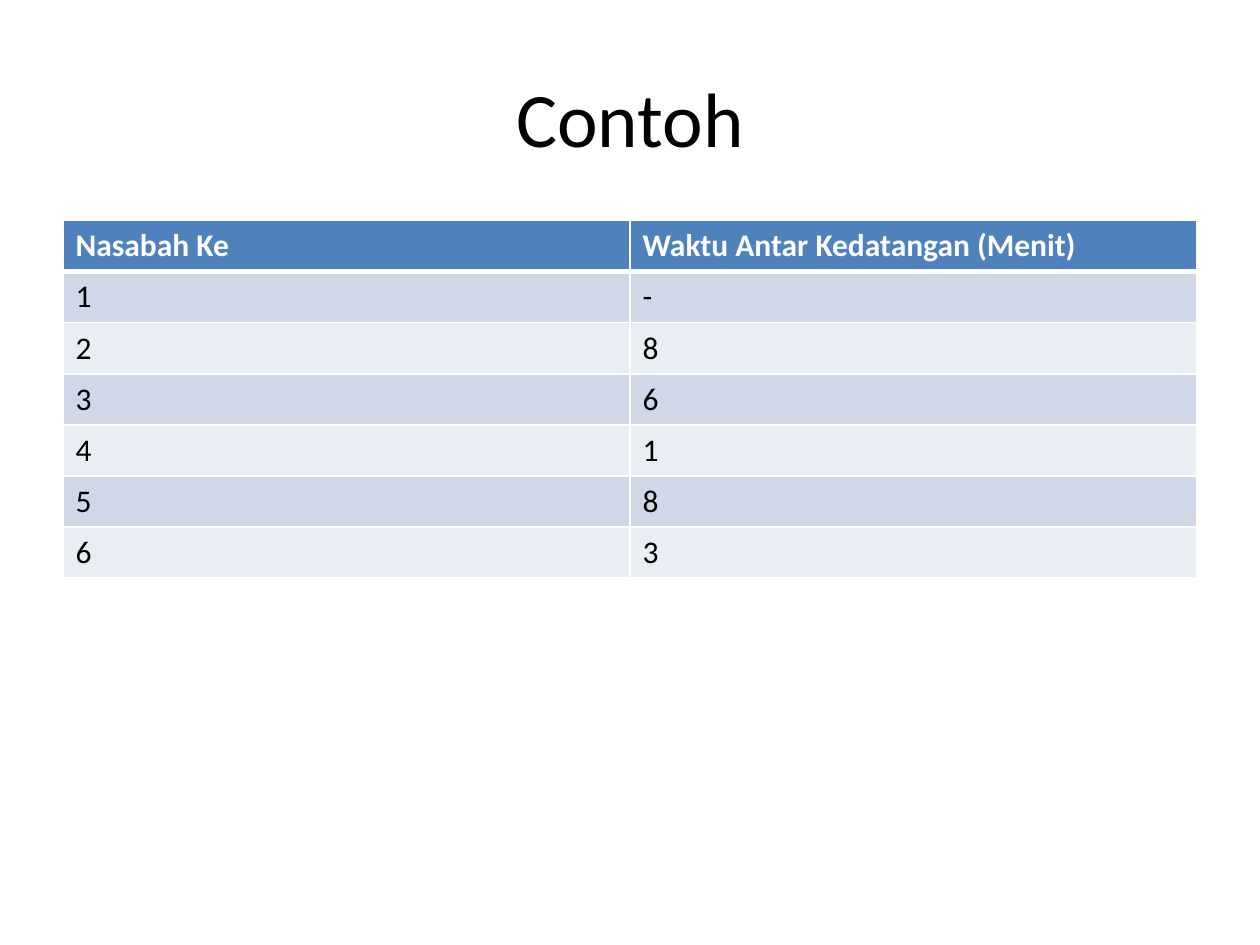
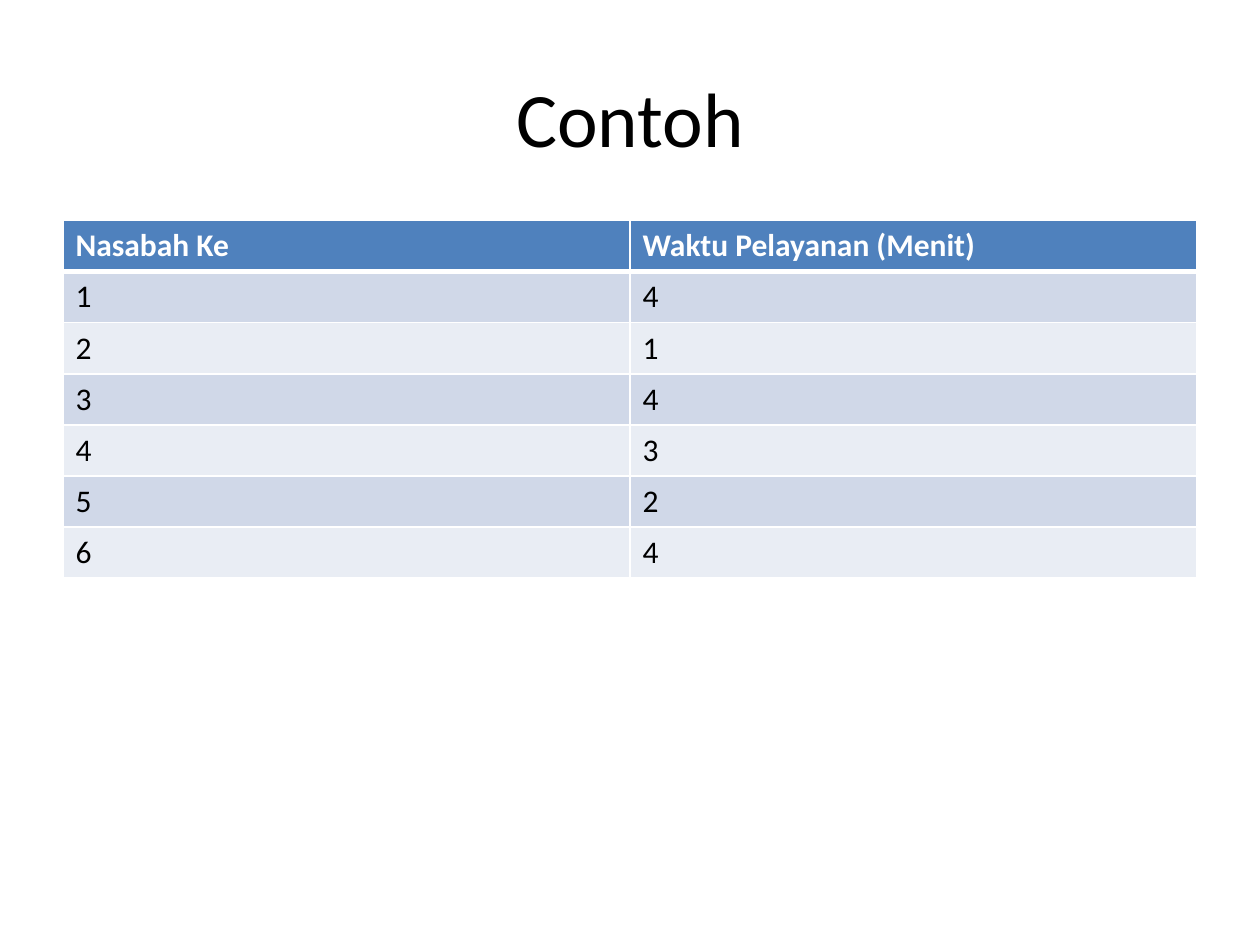
from dataclasses import dataclass

from lxml import etree
from pptx import Presentation
from pptx.dml.color import RGBColor
from pptx.enum.text import MSO_ANCHOR, PP_ALIGN
from pptx.oxml.ns import qn
from pptx.util import Inches, Pt

MIDDLE = MSO_ANCHOR.MIDDLE
CENTER = PP_ALIGN.CENTER
BLANK_LAYOUT = 6


@dataclass(frozen=True)
class Theme:
    """Colours, font and sizes shared by all slides."""
    font: str = "Calibri"
    title_size: int = 44
    table_size: int = 18
    text: str = "000000"
    white: str = "FFFFFF"
    header: str = "4F81BD"
    bands: tuple = ("D0D8E8", "E9EDF4")
    thin: int = 1
    thick: int = 3


THEME = Theme()


def style_text(paragraph, size, color, bold=False):
    """Set the font of a whole paragraph."""
    font = paragraph.font
    font.name = THEME.font
    font.size = Pt(size)
    font.bold = bold
    font.color.rgb = RGBColor.from_string(color)


def set_borders(cell, top, bottom):
    """Give a cell white borders; top and bottom widths are in points."""
    properties = cell._tc.get_or_add_tcPr()
    widths = {"a:lnL": THEME.thin, "a:lnR": THEME.thin, "a:lnT": top, "a:lnB": bottom}
    for position, (tag, width) in enumerate(widths.items()):
        line = etree.Element(qn(tag), w=str(Pt(width)))
        fill = etree.SubElement(line, qn("a:solidFill"))
        etree.SubElement(fill, qn("a:srgbClr"), val=THEME.white)
        properties.insert(position, line)


# Each slide lists one measured time per customer.
slides = [
    ("Waktu Antar Kedatangan (Menit)", ["-", "8", "6", "1", "8", "3"]),
    ("Waktu Pelayanan (Menit)", ["4", "1", "4", "3", "2", "4"]),
]

deck = Presentation()
deck.slide_width = Inches(10)
deck.slide_height = Inches(7.5)

for measure, times in slides:
    page = deck.slides.add_slide(deck.slide_layouts[BLANK_LAYOUT])

    title = page.shapes.add_textbox(Inches(0.5), Inches(0.3), Inches(9), Inches(1.25))
    title.text_frame.word_wrap = True
    title.text_frame.vertical_anchor = MIDDLE
    para = title.text_frame.paragraphs[0]
    para.text = "Contoh"
    para.alignment = CENTER
    style_text(para, THEME.title_size, THEME.text)

    rows = [("Nasabah Ke", measure)]
    rows += [(str(number), time) for number, time in enumerate(times, start=1)]
    table = page.shapes.add_table(
        len(rows), 2, Inches(0.5), Inches(1.75), Inches(9), Inches(2.84)
    ).table

    for row_index, values in enumerate(rows):
        is_header = row_index == 0
        band = THEME.header if is_header else THEME.bands[(row_index - 1) % 2]
        color = THEME.white if is_header else THEME.text
        top = THEME.thick if row_index == 1 else THEME.thin
        bottom = THEME.thick if is_header else THEME.thin
        for column_index, value in enumerate(values):
            cell = table.cell(row_index, column_index)
            cell.fill.solid()
            cell.fill.fore_color.rgb = RGBColor.from_string(band)
            set_borders(cell, top, bottom)
            para = cell.text_frame.paragraphs[0]
            para.text = value
            style_text(para, THEME.table_size, color, bold=is_header)

deck.save("out.pptx")
